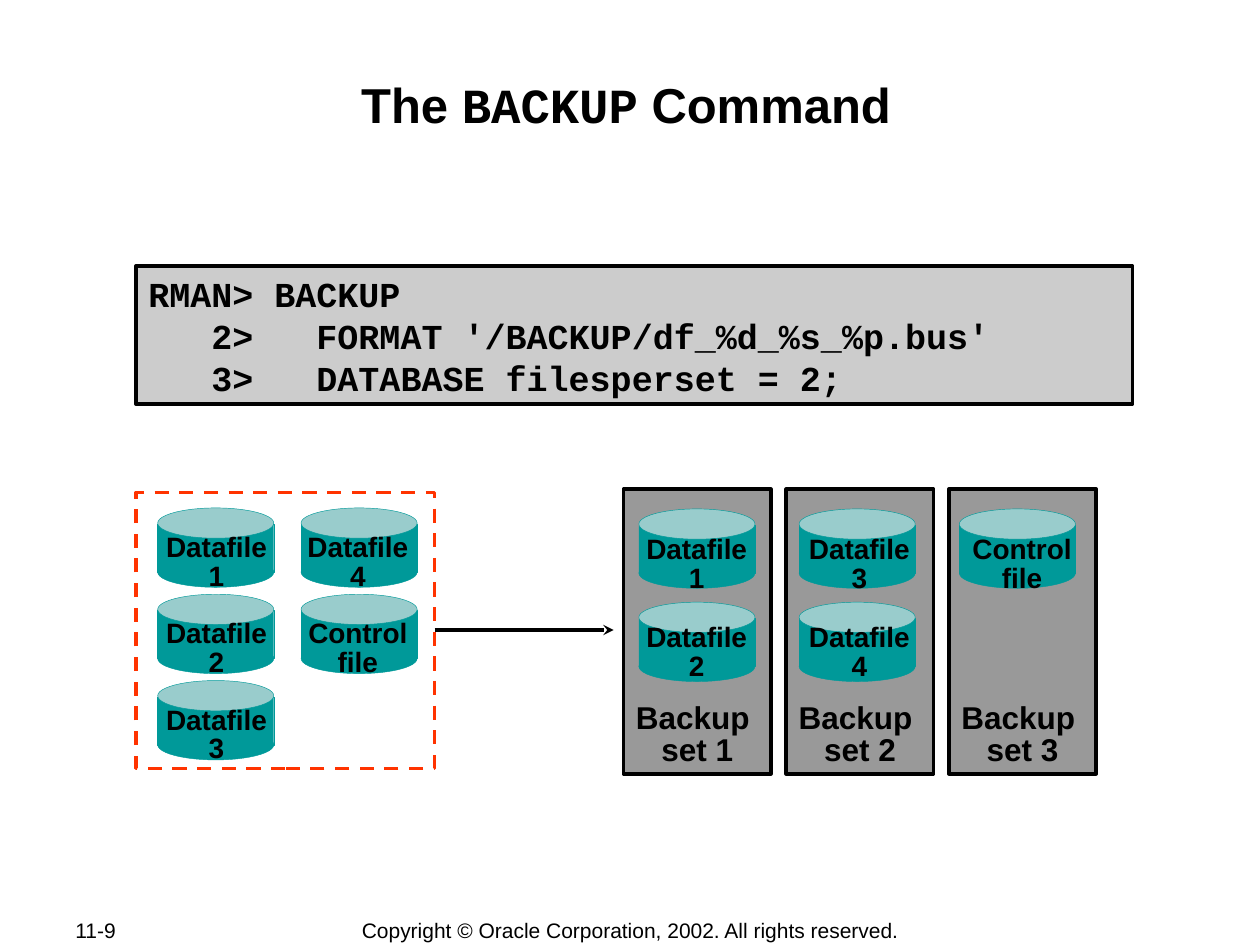
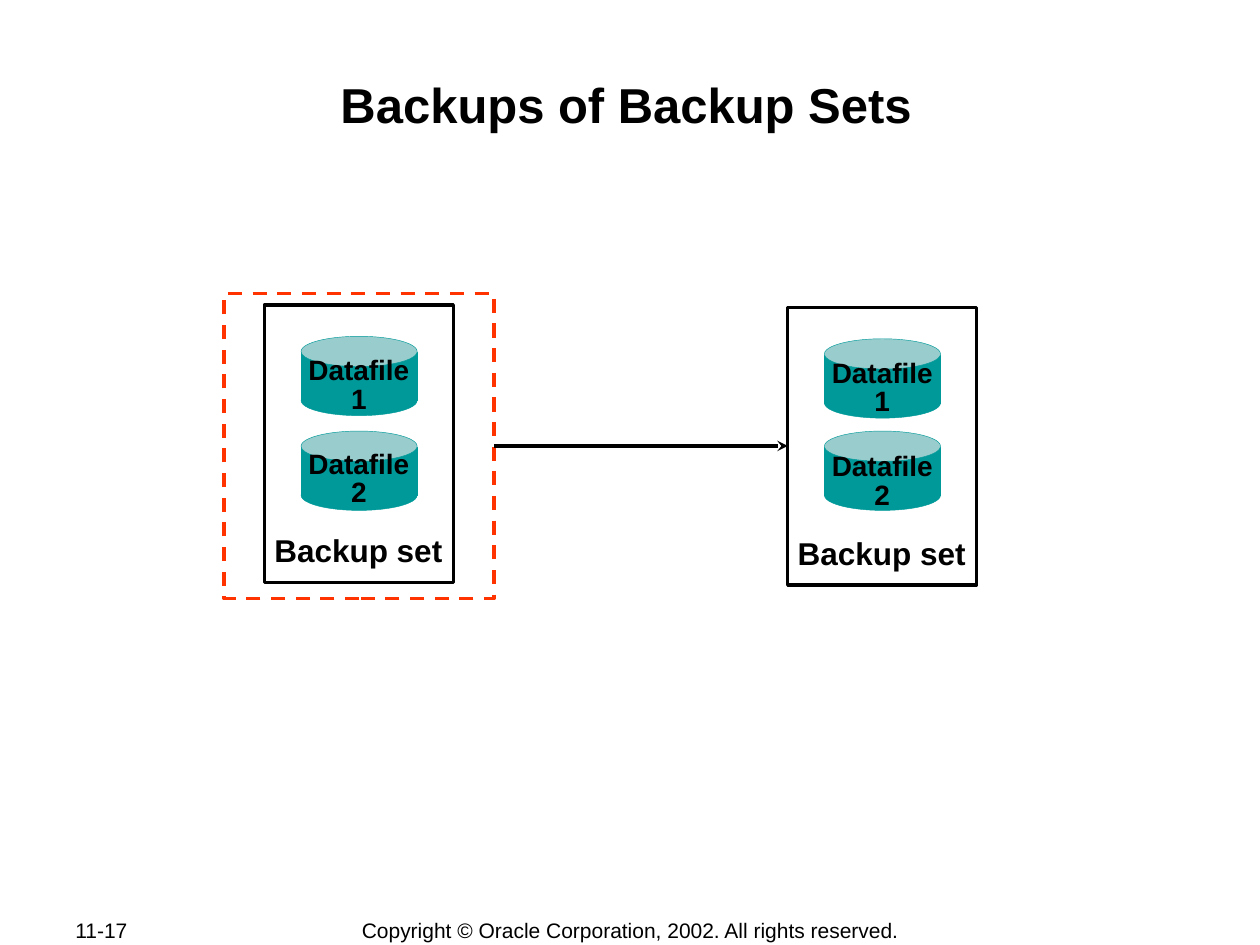
from lxml import etree
from pptx import Presentation
from pptx.dml.color import RGBColor
from pptx.enum import dml, shapes, text
from pptx.oxml import ns
from pptx.util import Cm, Pt

BLACK = RGBColor(0x00, 0x00, 0x00)
TEAL = RGBColor(0x00, 0x99, 0x99)
PALE_TEAL = RGBColor(0x99, 0xCC, 0xCC)
LIGHT_GREY = RGBColor(0xCC, 0xCC, 0xCC)
MID_GREY = RGBColor(0x99, 0x99, 0x99)
RED = RGBColor(0xFF, 0x33, 0x00)
SANS, MONO = "Arial", "Courier New"
RECTANGLE, OVAL = shapes.MSO_SHAPE.RECTANGLE, shapes.MSO_SHAPE.OVAL
CENTER, LEFT = text.PP_ALIGN.CENTER, text.PP_ALIGN.LEFT
TOP, MIDDLE = text.MSO_ANCHOR.TOP, text.MSO_ANCHOR.MIDDLE

COPYRIGHT = "Copyright © Oracle Corporation, 2002. All rights reserved."
COMMAND_TITLE = [("The ", SANS), ("BACKUP", MONO), (" Command", SANS)]
COMMAND_CODE = """RMAN> BACKUP
   2>   FORMAT '/BACKUP/df_%d_%s_%p.bus'
   3>   DATABASE filesperset = 2;"""
SOURCE_COLUMNS = [
    ["Datafile 1", "Datafile 2", "Datafile 3"],
    ["Datafile 4", "Control\vfile"],
]
BACKUP_SETS = [
    ("Backup \vset 1", ["Datafile 1", "Datafile 2"]),
    ("Backup \vset 2", ["Datafile 3", "Datafile 4"]),
    ("Backup \vset 3", ["Control\vfile"]),
]
COPIES_TITLE = [("Backups of Backup Sets", SANS)]
COPY_CAPTION = "Backup set"
COPY_FILES = ["Datafile 1", "Datafile 2"]
COPIES = [
    {"left": 5.33, "top": 6.15, "disks": [6.78, 8.69], "labels": [7.09, 8.97]},
    {"left": 15.88, "top": 6.2, "disks": [6.83, 8.69], "labels": [7.14, 9.02]},
]


def write(frame, runs, size, align=CENTER, bold=True, spacing=None,
          anchor=TOP, wrap=True, inset=(0.25, 0.13)):
    frame.word_wrap = wrap
    frame.auto_size = text.MSO_AUTO_SIZE.NONE
    frame.vertical_anchor = anchor
    frame.margin_left = frame.margin_right = Cm(inset[0])
    frame.margin_top = frame.margin_bottom = Cm(inset[1])
    paragraph = frame.paragraphs[0]
    paragraph.text = "".join(content for content, font in runs)
    if len(runs) > 1:
        paragraph.clear()
        for content, font in runs:
            paragraph.add_run().text = content
    paragraph.alignment = align
    paragraph.space_before = Pt(0)
    paragraph.line_spacing = spacing
    fonts = [font for content, font in runs]
    for index, run in enumerate(paragraph.runs):
        run.font.name = fonts[min(index, len(fonts) - 1)]
        run.font.size = Pt(size)
        run.font.bold = bold
        run.font.color.rgb = BLACK


def add_text(slide, box, content, size, **style):
    shape = slide.shapes.add_textbox(*map(Cm, box))
    write(shape.text_frame, [(content, SANS)], size, **style)


def add_box(slide, box, kind=RECTANGLE, fill=None, line=BLACK, width=2, dashed=False):
    shape = slide.shapes.add_shape(kind, *map(Cm, box))
    shape.shadow.inherit = False
    if fill is None:
        shape.fill.background()
    else:
        shape.fill.solid()
        shape.fill.fore_color.rgb = fill
    shape.line.color.rgb = line
    shape.line.width = Pt(width)
    if dashed:
        shape.line.dash_style = dml.MSO_LINE.DASH
    return shape


def add_disk(slide, left, top):
    parts = [
        (RECTANGLE, 0.33, 0.97, TEAL),
        (OVAL, 0, 0.61, PALE_TEAL),
        (OVAL, 0.99, 0.61, TEAL),
    ]
    for kind, offset, height, fill in parts:
        add_box(slide, (left, top + offset, 2.34, height), kind, fill, TEAL, 0.25)


def add_file(slide, name, disk, label):
    add_disk(slide, *disk)
    add_text(slide, (*label, 2.69, 1.37), name, 16, spacing=0.85, inset=(0.23, 0.13))


def add_caption(slide, left, top, content):
    add_text(slide, (left, top, 3.23, 0.58), content, 18, spacing=0.85,
             anchor=MIDDLE, wrap=False, inset=(0.15, 0.08))


def add_arrow(slide, start, end, y):
    arrow = slide.shapes.add_connector(
        shapes.MSO_CONNECTOR.STRAIGHT, Cm(start), Cm(y), Cm(end), Cm(y))
    arrow.line.color.rgb = BLACK
    arrow.line.width = Pt(2)
    etree.SubElement(arrow.line._get_or_add_ln(), ns.qn("a:tailEnd"), type="stealth")
    etree.SubElement(arrow._element.spPr, ns.qn("a:effectLst"))


def add_slide(presentation, title_runs, number):
    slide = presentation.slides.add_slide(presentation.slide_layouts[5])
    title = slide.shapes.title
    title.left, title.top, title.width, title.height = map(Cm, (2.46, 1.47, 20.32, 2.44))
    write(title.text_frame, title_runs, 28, inset=(0.03, 0.03))
    add_text(slide, (1.27, 18.49, 2.69, 0.51), number, 12,
             align=LEFT, bold=False, anchor=MIDDLE)
    add_text(slide, (7.01, 18.49, 11.4, 0.53), COPYRIGHT, 12,
             bold=False, anchor=MIDDLE, wrap=False)
    return slide


def build_command_slide(presentation):
    slide = add_slide(presentation, COMMAND_TITLE, "11-9")
    code = add_box(slide, (2.74, 5.36, 20.09, 2.79), fill=LIGHT_GREY)
    write(code.text_frame, [(COMMAND_CODE.replace("\n", "\v"), MONO)], 20, align=LEFT)

    add_box(slide, (2.74, 9.93, 6.02, 5.56), line=RED, dashed=True)
    for column, names in enumerate(SOURCE_COLUMNS):
        for row, name in enumerate(names):
            top = 10.24 + 1.74 * row
            add_file(slide, name, (3.18 + 2.89 * column, top),
                     (3.02 + 2.85 * column, top + 0.41))
    add_arrow(slide, 8.76, 12.37, 12.7)

    for column, (caption, names) in enumerate(BACKUP_SETS):
        left = 12.57 + 3.28 * column
        add_box(slide, (left, 9.86, 2.97, 5.74), fill=MID_GREY)
        add_caption(slide, left - 0.13, 14.55, caption)
        for row, name in enumerate(names):
            add_file(slide, name, (12.88 + 3.23 * column, 10.26 + 1.88 * row),
                     (left + 0.13, 10.69 + 1.78 * row))


def build_copies_slide(presentation):
    slide = add_slide(presentation, COPIES_TITLE, "11-17")
    add_box(slide, (4.52, 5.92, 5.44, 6.15), line=RED, dashed=True)
    add_arrow(slide, 9.96, 15.88, 8.99)
    for backup in COPIES:
        left, top = backup["left"], backup["top"]
        add_box(slide, (left, top, 3.81, 5.59))
        add_caption(slide, left + 0.28, top + 4.71, COPY_CAPTION)
        for name, disk_top, label_top in zip(COPY_FILES, backup["disks"], backup["labels"]):
            add_file(slide, name, (left + 0.74, disk_top), (left + 0.56, label_top))


def main():
    presentation = Presentation()
    presentation.slide_width, presentation.slide_height = Cm(25.4), Cm(19.05)
    build_command_slide(presentation)
    build_copies_slide(presentation)
    presentation.save("out.pptx")


if __name__ == "__main__":
    main()
